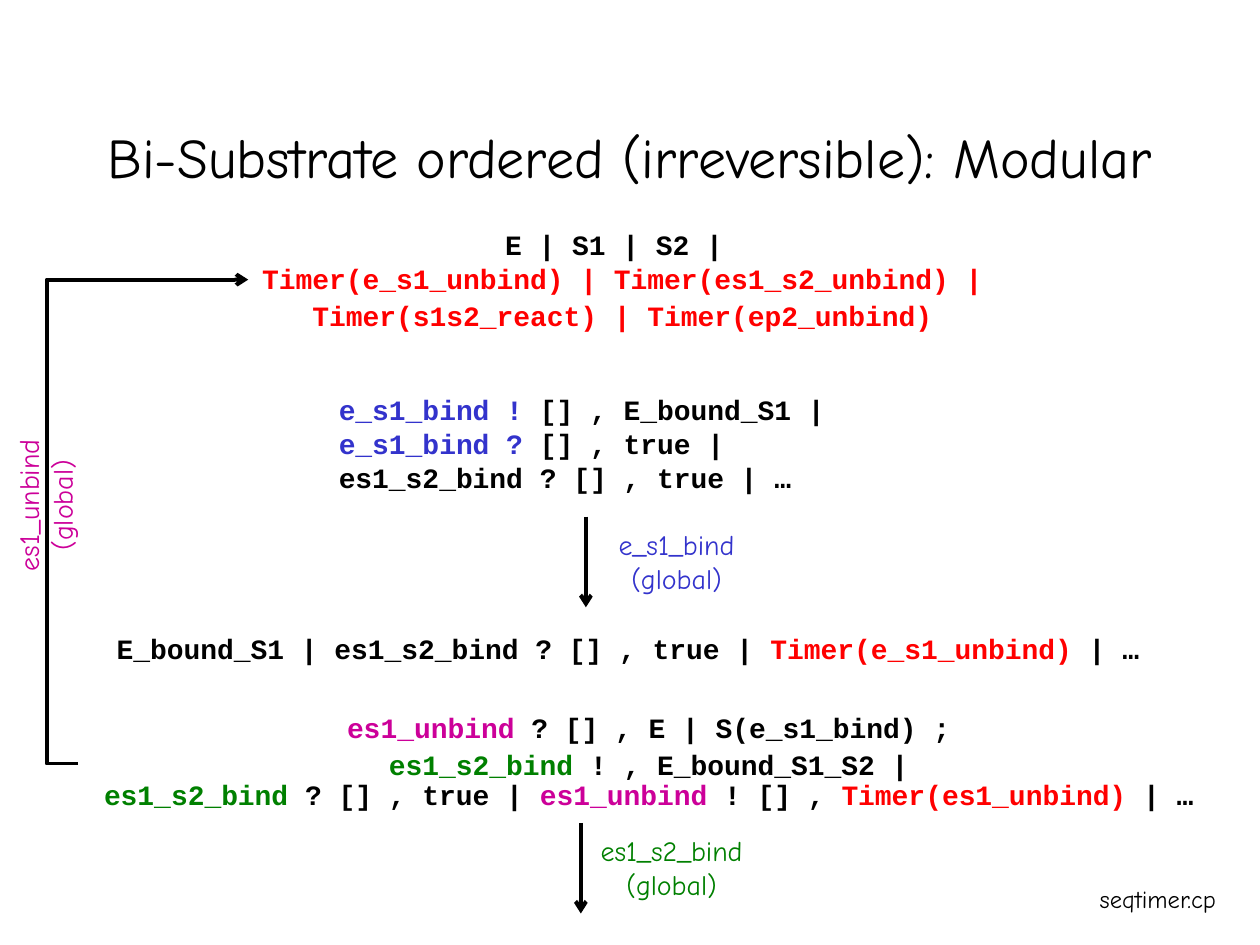
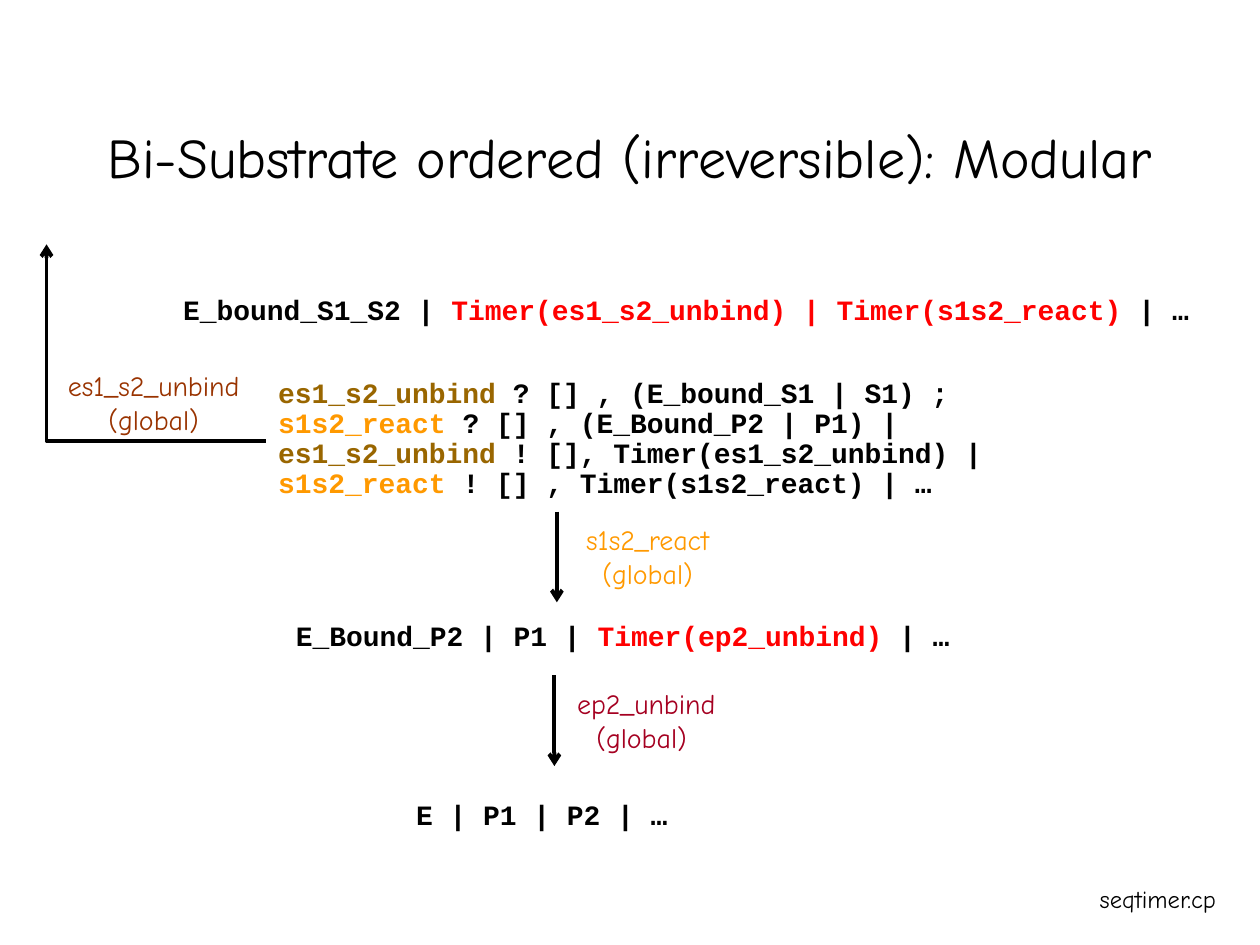
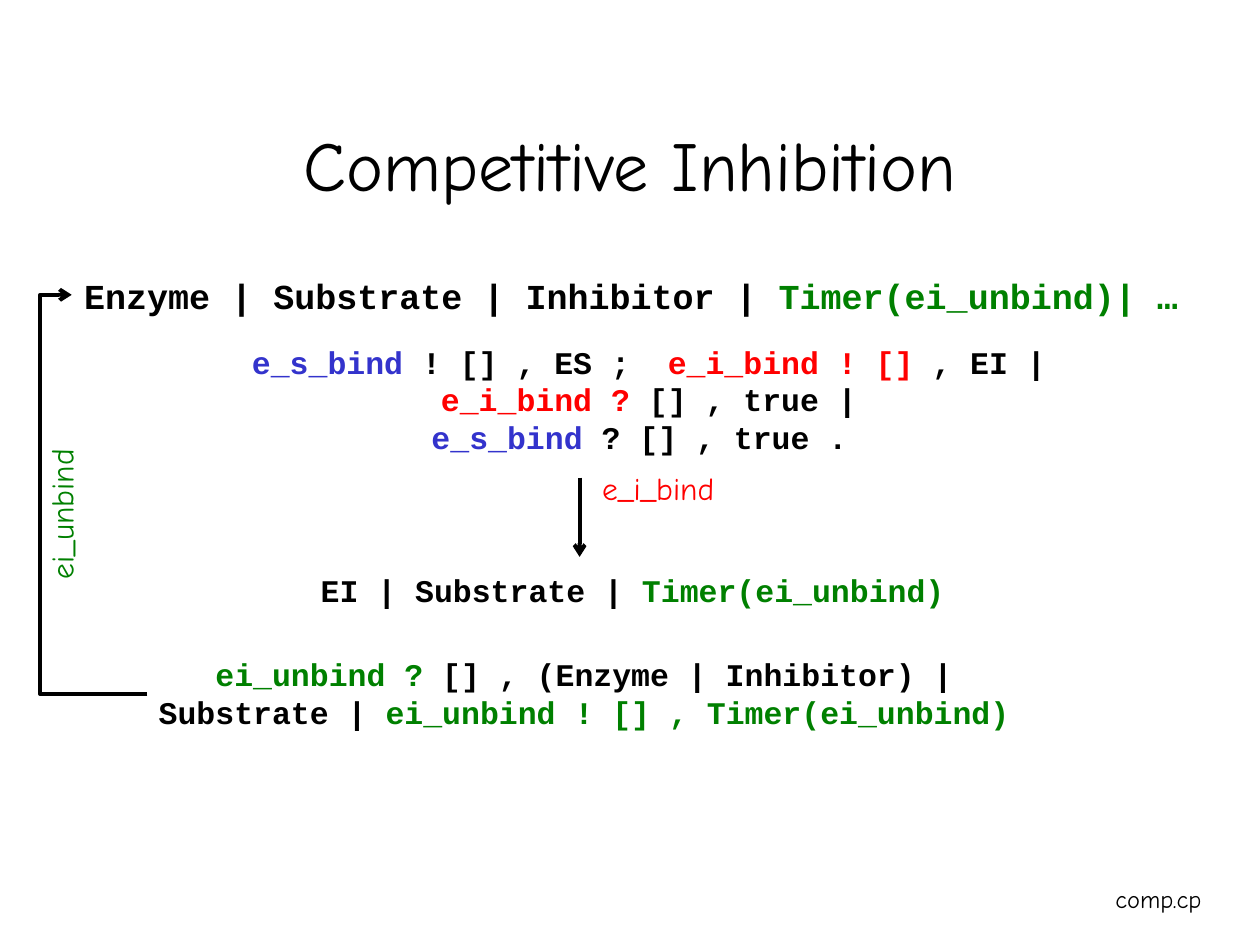
from copy import deepcopy

from lxml import etree
from pptx import Presentation
from pptx.dml.color import RGBColor
from pptx.enum.shapes import MSO_CONNECTOR
from pptx.enum.text import MSO_ANCHOR, MSO_AUTO_SIZE, PP_ALIGN
from pptx.oxml.ns import qn
from pptx.util import Emu, Pt

STRAIGHT, ELBOW = MSO_CONNECTOR.STRAIGHT, MSO_CONNECTOR.ELBOW
LEFT, CENTER = PP_ALIGN.LEFT, PP_ALIGN.CENTER
TOP, MIDDLE = MSO_ANCHOR.TOP, MSO_ANCHOR.MIDDLE
FIXED, GROW = MSO_AUTO_SIZE.NONE, MSO_AUTO_SIZE.SHAPE_TO_FIT_TEXT

PX = 9144
HAND, CODE = "Comic Neue", "Courier New"
INK, RED, BLUE, GREEN = "000000", "FF0000", "3333CC", "008000"
MAGENTA, ORANGE, OCHRE = "CC0099", "FF9900", "996600"
RUST, CRIMSON = "993300", "A50021"


def px(length):
    return Emu(length * PX)


def color(value):
    return RGBColor.from_string(value)


class Deck:
    def __init__(self):
        self.presentation = Presentation()
        self.presentation.slide_width = px(1000)
        self.presentation.slide_height = px(750)
        self.slide = None

    def new_slide(self, title, footer, footer_box, title_size=32, title_height=114):
        layout = self.presentation.slide_layouts[6]
        self.slide = self.presentation.slides.add_slide(layout)
        self.text((75, 67, 850, title_height), [[title]], size=title_size,
                  anchor=MIDDLE, wrap=True, autosize=FIXED)
        self.text(footer_box, [[footer]], size=14)

    def text(self, box, paragraphs, font=HAND, size=16, ink=INK, bold=False,
             align=CENTER, anchor=TOP, wrap=False, autosize=GROW,
             spacings=(None,), before=4, rotation=0):
        shape = self.slide.shapes.add_textbox(*map(px, box))
        shape.rotation = rotation
        frame = shape.text_frame
        frame.word_wrap = wrap
        frame.auto_size = autosize
        frame.vertical_anchor = anchor
        for index, runs in enumerate(paragraphs):
            paragraph = frame.add_paragraph() if index else frame.paragraphs[0]
            paragraph.alignment = align
            paragraph.line_spacing = spacings[index % len(spacings)]
            if index:
                paragraph.space_before = Pt(before)
            for item in runs:
                content, run_ink = (item, ink) if isinstance(item, str) else item
                for line_number, line in enumerate(content.split("\n")):
                    if line_number:
                        paragraph.add_line_break()
                        paragraph._p[-1].append(deepcopy(run._r.rPr))
                    if line:
                        run = paragraph.add_run()
                        run.text = line
                        run.font.name = font
                        run.font.size = Pt(size)
                        run.font.bold = bold
                        run.font.color.rgb = color(run_ink)

    def code(self, box, *paragraphs, **style):
        self.text(box, paragraphs, font=CODE, bold=True, **style)

    def arrow(self, start, end, via=None):
        kind = STRAIGHT if via is None else ELBOW
        connector = self.slide.shapes.add_connector(kind, *map(px, start + end))
        connector.line.color.rgb = color(INK)
        connector.line.width = Pt(2.25)
        properties = connector._element.spPr
        etree.SubElement(properties.find(qn("a:ln")), qn("a:tailEnd"), type="arrow")
        etree.SubElement(properties, qn("a:effectLst"))
        if via is None:
            return
        geometry = properties.find(qn("a:prstGeom"))
        if via == end[0]:
            geometry.set("prst", "bentConnector2")
        else:
            bend = round((via - start[0]) / (end[0] - start[0]) * 100000)
            guides = geometry.find(qn("a:avLst"))
            etree.SubElement(guides, qn("a:gd"), name="adj1", fmla=f"val {bend}")

    def step(self, x, top, label, ink, label_left, label_width):
        self.arrow((x, top), (x, top + 72))
        self.text((label_left, top + 4, label_width, 64), [[label]], ink=ink)


def ordered_binding(deck):
    deck.code((198, 176, 592, 93),
              ["E | S1 | S2 | \n",
               ("Timer(e_s1_unbind) | Timer(es1_s2_unbind) |", RED)],
              [("Timer(s1s2_react) | Timer(ep2_unbind)", RED)],
              spacings=(None, 0.9))
    deck.code((259, 307, 419, 90),
              [("e_s1_bind !", BLUE), " [] , E_bound_S1 | \n",
               ("e_s1_bind ?", BLUE), " [] , true |\nes1_s2_bind ? [] , true | …"],
              align=LEFT)
    deck.step(465, 410, "e_s1_bind\n(global)", BLUE, 479, 116)
    deck.code((80, 496, 850, 37),
              ["E_bound_S1 | es1_s2_bind ? [] , true | ",
               ("Timer(e_s1_unbind)", RED), " | … "])
    deck.code((62, 562, 919, 88),
              [("es1_unbind", MAGENTA), " ? [] , E | S(e_s1_bind) ; "],
              [("es1_s2_bind", GREEN), " ! , E_bound_S1_S2 | \n",
               ("es1_s2_bind", GREEN), " ? [] , true | ",
               ("es1_unbind", MAGENTA), " ! [] , ",
               ("Timer(es1_unbind)", RED), " | … "],
              wrap=True, spacings=(0.9,))
    deck.arrow((62, 606), (197, 222), via=37)
    deck.text((-29, 369, 130, 64), [["es1_unbind\n(global)"]],
              ink=MAGENTA, rotation=270)
    deck.step(461, 653, "es1_s2_bind\n(global)", GREEN, 464, 138)


def ordered_release(deck):
    tight = {"wrap": True, "spacings": (0.9,)}
    deck.code((53, 230, 983, 34),
              ["E_bound_S1_S2 | ",
               ("Timer(es1_s2_unbind) | Timer(s1s2_react)", RED), " | …"], **tight)
    deck.step(442, 406, "s1s2_react\n(global)", ORANGE, 453, 122)
    deck.code((211, 296, 719, 106),
              [("es1_s2_unbind", OCHRE), " ? [] , (E_bound_S1 | S1) ;\n",
               ("s1s2_react", ORANGE), " ? [] , (E_Bound_P2 | P1) |\n",
               ("es1_s2_unbind", OCHRE), " ! [], Timer(es1_s2_unbind) | ",
               ("s1s2_react", ORANGE), " ! [] , Timer(s1s2_react) | …"],
              align=LEFT, **tight)
    deck.arrow((211, 350), (37, 194), via=37)
    deck.text((42, 288, 160, 64), [["es1_s2_unbind\n(global)"]], ink=RUST)
    deck.code((225, 489, 543, 58),
              ["E_Bound_P2 | P1 | ", ("Timer(ep2_unbind)", RED), " | …"],
              align=LEFT, **tight)
    deck.step(440, 536, "ep2_unbind\n(global) ", CRIMSON, 446, 134)
    deck.code((308, 631, 244, 34), ["E | P1 | P2 | …"], **tight)


def competitive_inhibition(deck):
    deck.code((52, 213, 898, 44),
              ["Enzyme | Substrate | Inhibitor | ", ("Timer(ei_unbind)| …", GREEN)],
              size=20)
    deck.code((28, 267, 974, 100),
              [("e_s_bind", BLUE), " ! [] , ES ; ", (" e_i_bind ! [] ", RED),
               ", EI |\n", ("e_i_bind ?", RED), " [] , true |\n",
               ("e_s_bind", BLUE), " ? [] , true . "],
              size=18, wrap=True)
    deck.arrow((460, 379), (460, 442))
    deck.text((466, 367, 113, 40), [["e_i_bind"]], size=18, ink=RED)
    deck.code((15, 448, 974, 40),
              ["EI | Substrate | ", ("Timer(ei_unbind)", GREEN)],
              size=18, wrap=True)
    deck.code((114, 515, 714, 70),
              [("ei_unbind ?", GREEN), " [] , (Enzyme | Inhibitor) | \nSubstrate | ",
               ("ei_unbind ! [] , Timer(ei_unbind) ", GREEN)],
              size=18)
    deck.arrow((117, 551), (57, 234), via=32)
    deck.text((-15, 388, 127, 40), [["ei_unbind"]], size=18, ink=GREEN, rotation=270)


def main():
    deck = Deck()
    for build in (ordered_binding, ordered_release):
        deck.new_slide("Bi-Substrate ordered (irreversible): Modular",
                       "seqtimer.cp", (860, 697, 118, 34))
        build(deck)
    deck.new_slide("Competitive Inhibition", "comp.cp", (873, 697, 93, 34),
                   title_size=40, title_height=125)
    competitive_inhibition(deck)
    deck.presentation.save("out.pptx")


if __name__ == "__main__":
    main()
